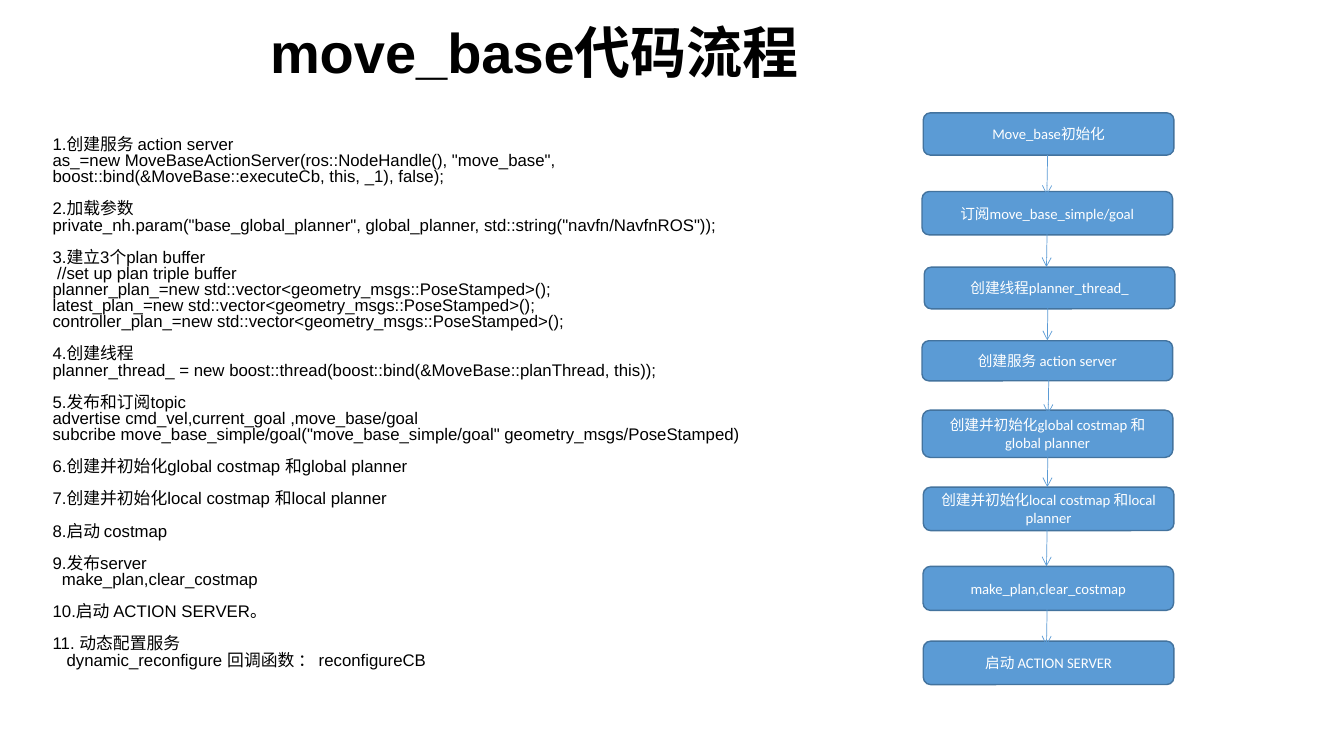
from pptx import Presentation
from pptx.dml.color import RGBColor
from pptx.enum.shapes import MSO_CONNECTOR as Link, MSO_SHAPE as Kind
from pptx.enum.text import MSO_ANCHOR as Anchor, MSO_AUTO_SIZE as Fit, PP_ALIGN as Align
from pptx.oxml.ns import qn
from pptx.util import Pt
from lxml import etree


def color(code):
    return RGBColor.from_string(code)


def style(par, size, name, code, align, bold=False):
    par.alignment = align
    for run in par.runs:
        font = run.font
        font.size, font.name, font.bold = Pt(size), name, bold
        font.color.rgb = color(code)


deck = Presentation()
deck.slide_width, deck.slide_height = Pt(960), Pt(540)
slide = deck.slides.add_slide(deck.slide_layouts[0])
title, body = slide.placeholders

# Title and body frames
for shape, top, width, height in ((title, 8, 702.5, 57), (body, 80.6, 561, 434)):
    shape.left, shape.top = Pt(30.4), Pt(top)
    shape.width, shape.height = Pt(width), Pt(height)
    frame = shape.text_frame
    frame.word_wrap, frame.auto_size = True, Fit.NONE
    frame.vertical_anchor = Anchor.BOTTOM

# Title
title.text_frame.text = "move_base代码流程"
head = title.text_frame.paragraphs[0]
head.line_spacing = 0.9
style(head, 40, "Arial", "000000", Align.CENTER, True)

# Steps: each group is a heading and its code lines, as (text, indent)
steps = [
    [("1.创建服务 action server", 0),
     ('as_=new MoveBaseActionServer(ros::NodeHandle(), "move_base", '
      "boost::bind(&MoveBase::executeCb, this, _1), false);", 0)],
    [("2.加载参数", 0),
     ('private_nh.param("base_global_planner", global_planner, '
      'std::string("navfn/NavfnROS"));', 0)],
    [("3.建立3个plan buffer", 0), ("//set up plan triple buffer", 3.3)]
    + [(f"{plan}_plan_=new std::vector<geometry_msgs::PoseStamped>();", 0)
       for plan in ("planner", "latest", "controller")],
    [("4.创建线程", 0),
     ("planner_thread_ = new boost::thread(boost::bind(&MoveBase::planThread, this));", 0)],
    [("5.发布和订阅topic", 0),
     ("advertise cmd_vel,current_goal ,move_base/goal", 0),
     ('subcribe move_base_simple/goal("move_base_simple/goal" '
      "geometry_msgs/PoseStamped)", 0)],
    [("6.创建并初始化global costmap 和global planner", 0)],
    [("7.创建并初始化local costmap 和local planner", 0)],
    [("8.启动 costmap", 0)],
    [("9.发布server", 0), ("make_plan,clear_costmap", 6.7)],
    [("10.启动 ACTION SERVER。", 0)],
    [("11. 动态配置服务", 0),
     ("dynamic_reconfigure 回调函数 ： reconfigureCB", 10)],
]
frame = body.text_frame
frame.margin_bottom = Pt(36.5)
lines = [(text, indent, 11.5 if group and not row else 0)
         for group, step in enumerate(steps)
         for row, (text, indent) in enumerate(step)]
frame.text = "\n".join(line[0] for line in lines)
for par, (text, indent, gap) in zip(frame.paragraphs, lines):
    par.line_spacing = 0.8
    par.space_before, par.space_after = Pt(gap), Pt(0)
    par._p.get_or_add_pPr().set("marL", str(Pt(indent)))
    style(par, 12, "Arial", "000000", Align.LEFT)

# Flow boxes: text, left, top, height
boxes = [
    ("Move_base初始化", 659.5, 80.6, 30.2),
    ("订阅move_base_simple/goal", 658.6, 136.8, 31),
    ("创建线程planner_thread_", 660.2, 190.8, 29.8),
    ("创建服务 action server", 658.6, 243.4, 28.6),
    ("创建并初始化global costmap 和global planner", 658.8, 293, 33.8),
    ("创建并初始化local costmap 和local planner", 659.5, 348, 31),
    ("make_plan,clear_costmap", 659.3, 404.5, 31.5),
    ("启动 ACTION SERVER", 659.5, 458, 31),
]
for text, left, top, height in boxes:
    box = slide.shapes.add_shape(Kind.FLOWCHART_ALTERNATE_PROCESS,
                                 Pt(left), Pt(top), Pt(179), Pt(height))
    box.shadow.inherit = False
    box.fill.solid()
    box.fill.fore_color.rgb = color("5B9BD5")
    box.line.color.rgb = color("43739E")
    box.line.width = Pt(1)
    frame = box.text_frame
    frame.word_wrap = True
    frame.vertical_anchor = Anchor.MIDDLE
    frame.text = text
    style(frame.paragraphs[0], 10.5, "Calibri", "FFFFFF", Align.CENTER)

# Arrows between the boxes, all of one length
for left, top in ((748.3, 110.8), (748, 162.2), (748.6, 214.6), (749.2, 267.1),
                  (748.6, 319.4), (748, 376), (748, 432.5)):
    arrow = slide.shapes.add_connector(Link.STRAIGHT, Pt(left), Pt(top),
                                       Pt(left - 0.5), Pt(top + 28.5))
    arrow.line.color.rgb = color("5B9BD5")
    arrow.line.width = Pt(0.5)
    etree.SubElement(arrow.line._get_or_add_ln(), qn("a:tailEnd"), type="arrow")
    etree.SubElement(arrow._element.spPr, qn("a:effectLst"))

deck.save("out.pptx")
